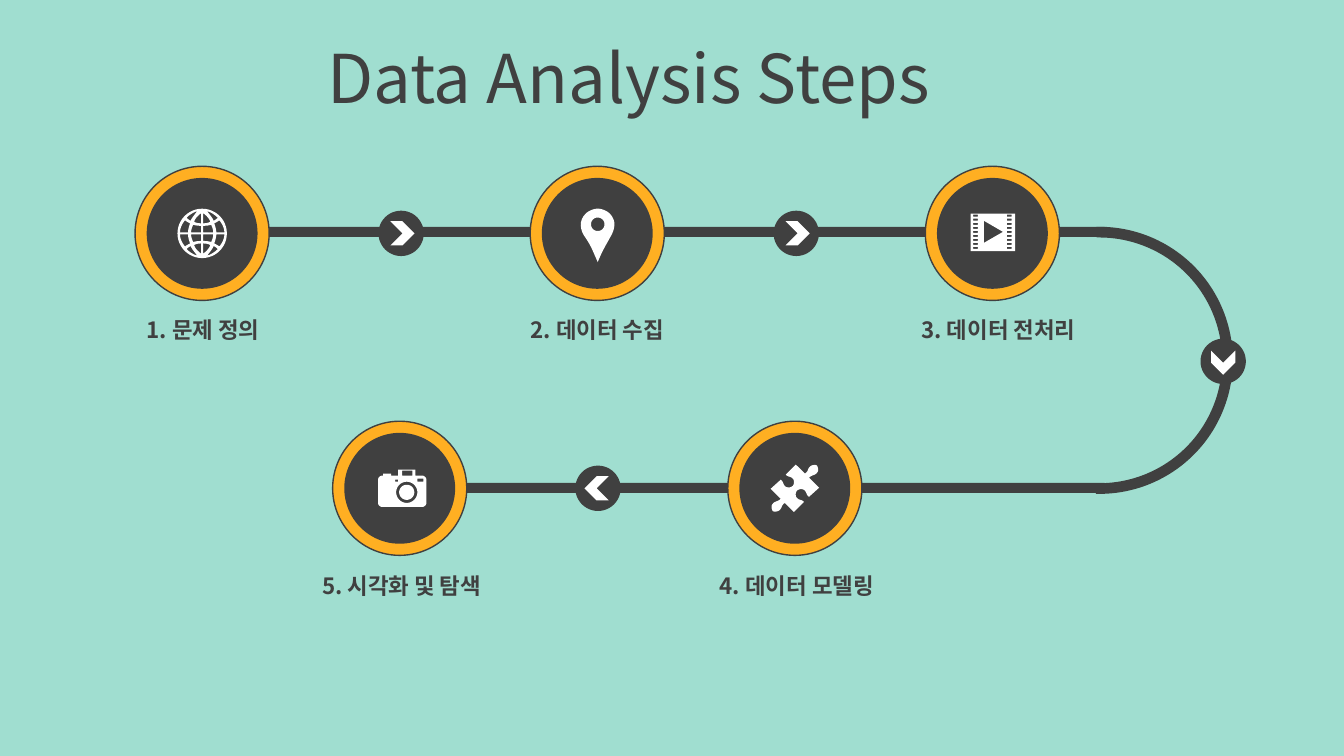
from math import cos, pi, sin
from itertools import product
from lxml import etree
from pptx import Presentation
from pptx.dml.color import RGBColor
from pptx.enum.shapes import MSO_SHAPE
from pptx.enum.text import MSO_ANCHOR, MSO_AUTO_SIZE, PP_ALIGN
from pptx.oxml.ns import qn
from pptx.util import Pt

OVAL, RECT = MSO_SHAPE.OVAL, MSO_SHAPE.RECTANGLE
CHEVRON, ARC = MSO_SHAPE.CHEVRON, MSO_SHAPE.BLOCK_ARC
MIDDLE, TOP = MSO_ANCHOR.MIDDLE, MSO_ANCHOR.TOP
CENTER, GROW = PP_ALIGN.CENTER, MSO_AUTO_SIZE.SHAPE_TO_FIT_TEXT

TITLE = "Data Analysis Steps"
FONT = "Noto Sans CJK KR"
MINT, DARK, ORANGE, WHITE = "A0DED0", "404040", "FFAF22", "FFFFFF"

STEPS = [
    ("1. 문제 정의", "globe", 0, 0, 0.7),
    ("2. 데이터 수집", "pin", 2, 0, 0),
    ("3. 데이터 전처리", "film", 4, 0, 4.3),
    ("5. 시각화 및 탐색", "camera", 1, 1, 1.4),
    ("4. 데이터 모델링", "puzzle", 3, 1, 1.4),
]
FIRST_X, HALF_STEP = 144.4, 141.12
ROW_Y = (166.7, 348.8)
LABEL_TOP = (222.5, 405.4)
ARROWS = [
    (FIRST_X + 1 * HALF_STEP + 1, ROW_Y[0], 0),
    (FIRST_X + 3 * HALF_STEP + 1, ROW_Y[0], 0),
    (FIRST_X + 2 * HALF_STEP + 0.5, ROW_Y[1], 180),
    (873.7, 258.1, 90),
]
TRACK, TRACK_RIGHT, ARC_SIZE = 7.2, 789.1, 190.8
TRACK_BARS = [(142.6, 162), (252.7, 344.9)]


def circle(x, y, radius):
    turns = [pi * i / 24 for i in range(48)]
    return [(x + radius * cos(t), y + radius * sin(t)) for t in turns]


def rectangle(left, top, right, bottom):
    return [(left, top), (right, top), (right, bottom), (left, bottom)]


GLOBE_CELLS = [
    [(1, 20), (1, 10), (4, 10, 6, 10.5, 8, 11.5), (7, 15, 4, 18, 1, 20)],
    [(1, 1), (1, 7.5), (4, 7.5, 7, 8, 9, 8.5), (10, 6, 11, 3.5, 11, 1)],
    [(14, 1), (22, 1), (22, 5, 20, 9.5, 17, 13), (16, 12, 14, 11, 12, 10),
     (13, 7, 14, 4, 14, 1)],
    [(5, 22), (7, 19, 10, 16, 11.5, 12.5), (13, 13.5, 14, 14, 15.5, 15.5),
     (13, 18, 9, 21, 5, 22)],
]
PIN_OUTLINE = [
    (0.5, -24.5), (4.5, -24.5, 9.5, -22.5, 12.5, -19.5),
    (19.5, -12.5, 17.5, -3.5, 12.5, 4.5), (7.5, 13.5, 4.5, 18.5, 0.5, 28.5),
    (-4.5, 17.5, -5.5, 13.5, -11.5, 4.5),
    (-17.5, -3.5, -18.5, -12.5, -11.5, -19.5),
    (-8.5, -22.5, -3.5, -24.5, 0.5, -24.5),
]
PUZZLE_HALF = [
    (22, -22.5), (23, -20.5, 24, -17.5, 22, -15.5),
    (20, -12.5, 17, -13.5, 14, -10.5), (24, -0.5), (14, 8.5),
    (11, 6.5, 12, 3.5, 9, 1.5), (7, 0.5, 4, 0.5, 2, 2.5),
    (1, 3.5, 0, 7.5, 2, 9.5), (5, 12.5, 6, 10.5, 9, 13.5),
    (-1, 23.5), (-10, 14.5), (-14, 17.5, -12, 18.5, -15, 21.5),
    (-17, 23.5, -21, 23.5, -22, 22.5),
]
CAMERA_BODY = [
    (0.5, -18.5), (15.5, -18.5), (15.5, -12.5), (22.5, -12.5),
    (24.5, -12.5, 26.5, -10.5, 26.5, -8.5), (26.5, 14.5),
    (26.5, 16.5, 24.5, 18.5, 22.5, 18.5), (-17.5, 18.5),
    (-19.5, 18.5, -21.5, 16.5, -21.5, 14.5), (-21.5, -8.5),
    (-21.5, -10.5, -19.5, -12.5, -17.5, -12.5), (-16.5, -12.5),
    (-16.5, -14.5), (-8.5, -14.5), (-8.5, -12.5), (-1.5, -12.5), (-1.5, -18.5),
]


def mirror(contour, x_sign, y_sign):
    return [tuple(v * (y_sign if i % 2 else x_sign) for i, v in enumerate(step))
            for step in contour]


ICONS = {
    "globe": [circle(0, 0, 24.5)] + [
        mirror(cell, x_sign, y_sign)
        for cell, x_sign, y_sign in product(GLOBE_CELLS, (1, -1), (1, -1))],
    "pin": [PIN_OUTLINE, circle(0.5, -9, 6.7)],
    "film": [rectangle(-21.5, -19.5, 22.5, 17.5),
             [(-8.5, -12.5), (-8.5, 9.5), (10.5, -1.5)]] + [
        rectangle(left, -18.5 + 4 * i, left + 4.5, -16.5 + 4 * i)
        for left, i in product((-19, 14.5), range(9))],
    "camera": [CAMERA_BODY, circle(7, 4, 10.5), circle(7, 4, 7.5),
               rectangle(-4.5, -8.5, -1.5, -6.5),
               rectangle(17.5, -9.5, 23.5, -6.5),
               rectangle(2.5, -17.5, 12.5, -12.5)],
    "puzzle": [PUZZLE_HALF + mirror(PUZZLE_HALF, -1, -1)],
}


def color(hex_code):
    return RGBColor.from_string(hex_code)


def paint(shape, fill, line=None):
    shape.shadow.inherit = False
    shape.fill.solid()
    shape.fill.fore_color.rgb = color(fill)
    if line:
        shape.line.color.rgb = color(line)
        shape.line.width = Pt(1)
    else:
        shape.line.fill.background()
    return shape


def add_part(kind, left, top, width, height, fill, line=None):
    shape = page.shapes.add_shape(kind, Pt(left), Pt(top), Pt(width), Pt(height))
    return paint(shape, fill, line)


def add_centered(kind, x, y, size, fill, line=None):
    return add_part(kind, x - size / 2, y - size / 2, size, size, fill, line)


def flatten(contour):
    points = []
    for step in contour:
        if len(step) == 2:
            points.append(step)
            continue
        x0, y0 = points[-1]
        x1, y1, x2, y2, x3, y3 = step
        for i in range(1, 9):
            t = i / 8
            a, b, c, d = (1 - t) ** 3, 3 * t * (1 - t) ** 2, 3 * t * t * (1 - t), t ** 3
            points.append((a * x0 + b * x1 + c * x2 + d * x3,
                           a * y0 + b * y1 + c * y2 + d * y3))
    return [(x * 100, y * 100) for x, y in points]


def add_icon(contours, x, y):
    outlines = [flatten(contour) for contour in contours]
    builder = page.shapes.build_freeform(*outlines[0][0], scale=Pt(0.72) / 100)
    for i, points in enumerate(outlines):
        if i:
            builder.move_to(*points[0])
        builder.add_line_segments(points[1:], close=True)
    paint(builder.convert_to_shape(Pt(x), Pt(y)), WHITE)


def add_text(text, left, top, width, height, size, bold, anchor):
    box = page.shapes.add_textbox(Pt(left), Pt(top), Pt(width), Pt(height))
    frame = box.text_frame
    frame.word_wrap = True
    frame.vertical_anchor = anchor
    frame.text = text
    para = frame.paragraphs[0]
    para.alignment = CENTER
    span = para.runs[0]
    span.font.size, span.font.bold, span.font.name = Pt(size), bold, FONT
    span.font.color.rgb = color(DARK)
    etree.SubElement(span.font._element, qn("a:ea")).set("typeface", FONT)
    return frame


deck = Presentation()
deck.slide_width, deck.slide_height = Pt(960), Pt(540)
page = deck.slides.add_slide(deck.slide_layouts[6])
page.background.fill.solid()
page.background.fill.fore_color.rgb = color(MINT)

bend = add_part(ARC, 689.8, 162, ARC_SIZE, ARC_SIZE, DARK)
for i, value in enumerate((161.27, 54.9, 0.04)):
    bend.adjustments[i] = value
for left, top in TRACK_BARS:
    add_part(RECT, left, top, TRACK_RIGHT - left, TRACK, DARK)

title = add_text(TITLE, -31, 28.1, 960, 60.5, 48, False, MIDDLE)
title.paragraphs[0].line_spacing = 0.9

for x, y, angle in ARROWS:
    add_centered(OVAL, x, y, 32.4, DARK)
    turn = angle * pi / 180
    chevron = add_centered(CHEVRON, x + cos(turn), y + sin(turn), 17.3, WHITE)
    chevron.rotation = angle

for label, icon, column, row, shift in STEPS:
    x, y = FIRST_X + column * HALF_STEP, ROW_Y[row]
    add_centered(OVAL, x, y, 95.8, ORANGE, DARK)
    add_centered(OVAL, x, y, 79.2, DARK)
    add_icon(ICONS[icon], x, y)
    caption = add_text(label, x + shift - 106.2, LABEL_TOP[row], 212.4, 26.6,
                       16, True, TOP)
    caption.auto_size = GROW

deck.save("out.pptx")
